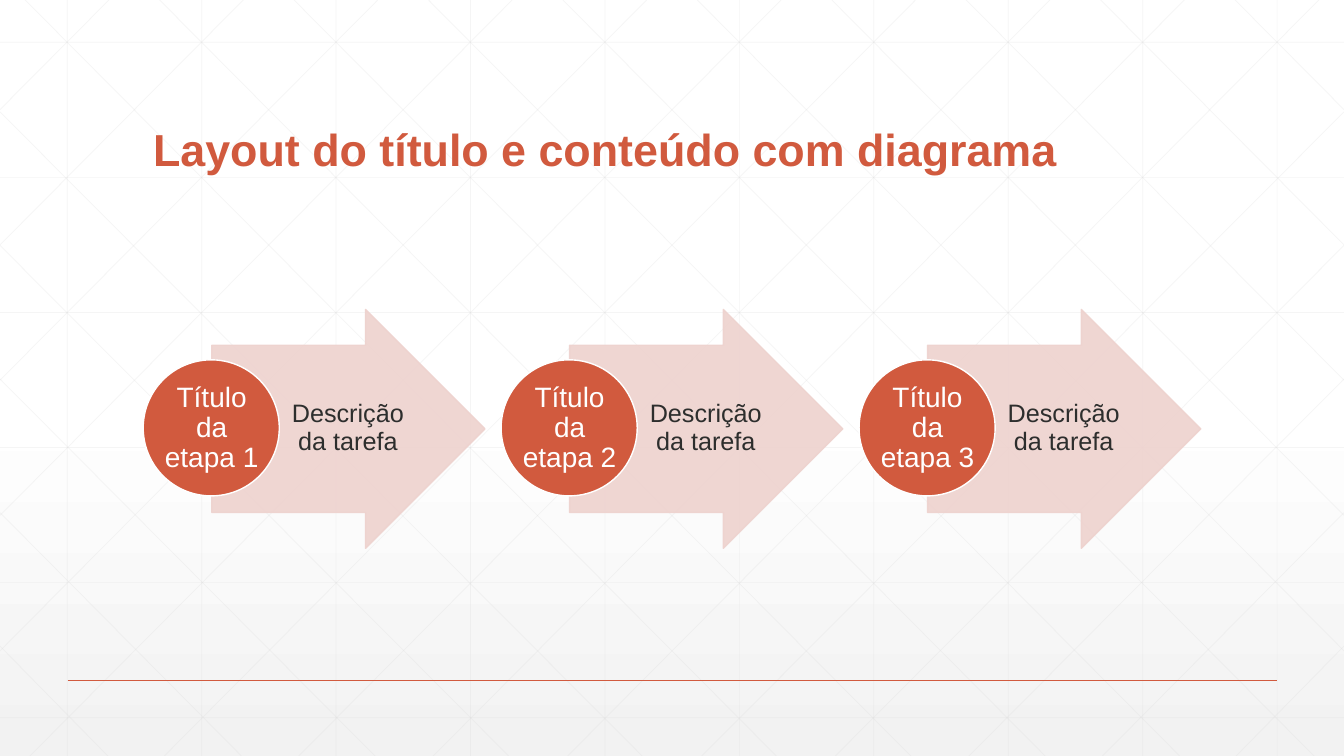
from lxml.etree import SubElement
from pptx import Presentation
from pptx.dml.color import RGBColor
from pptx.enum.shapes import MSO_CONNECTOR as Link, MSO_SHAPE as Form
from pptx.enum.text import MSO_ANCHOR as Anchor, PP_ALIGN as Align
from pptx.oxml.ns import qn
from pptx.util import Inches, Pt

WIDE, HIGH = 13.33, 7.5
RUST = RGBColor(0xD1, 0x5A, 0x3E)
PINK = RGBColor(0xEE, 0xD2, 0xCE)
DARK = RGBColor(0x2D, 0x2E, 0x2D)
WHITE = RGBColor(0xFF, 0xFF, 0xFF)
PALE = RGBColor(0xF2, 0xF2, 0xF2)
GRID = RGBColor(0xD9, 0xD9, 0xD9)


def fade(shape, percent):
    """Make the fill and line colours of a shape partly opaque."""
    for color in shape.element.spPr.iter(qn("a:srgbClr")):
        SubElement(color, qn("a:alpha")).set("val", str(percent * 1000))


def add_line(slide, start, end, color, width):
    """Draw a straight line between two points."""
    ends = [Inches(value) for value in (*start, *end)]
    line = slide.shapes.add_connector(Link.STRAIGHT, *ends)
    line.line.color.rgb = color
    line.line.width = Pt(width)
    SubElement(line.element.spPr, qn("a:effectLst"))
    return line


def add_shape(slide, form, box, fill, edge):
    """Draw a filled preset shape."""
    shape = slide.shapes.add_shape(form, *[Inches(value) for value in box])
    shape.shadow.inherit = False
    shape.fill.solid()
    shape.fill.fore_color.rgb = fill
    shape.line.color.rgb = edge
    shape.line.width = Pt(1)
    return shape


def add_text(slide, text, box, size, color, insets, anchor=Anchor.MIDDLE,
             align=Align.CENTER, bold=False):
    """Place a wrapped text box."""
    frame = slide.shapes.add_textbox(*[Inches(value) for value in box]).text_frame
    frame.word_wrap = True
    frame.vertical_anchor = anchor
    frame.margin_left, frame.margin_top, frame.margin_right, frame.margin_bottom = [
        Inches(value) for value in insets]
    frame.text = text
    para = frame.paragraphs[0]
    para.alignment = align
    para.line_spacing = 0.9
    font = para.runs[0].font
    font.name, font.size, font.bold = "Arial", Pt(size), bold
    font.color.rgb = color


def add_back(slide):
    """Shade the background from white to pale grey."""
    fill = slide.background.fill
    fill.gradient()
    fill.gradient_angle = 270
    for stop, place, color in zip(fill.gradient_stops, (0.53, 1), (WHITE, PALE)):
        stop.position = place
        stop.color.rgb = color


def add_grid(slide):
    """Draw the faint upright, level and slanted grid lines."""
    step, run = 4 / 3, 7.45
    lines = [((x, 0), (x, HIGH)) for x in (2 / 3 + step * i for i in range(10))]
    lines += [((0, y), (WIDE, y)) for y in (0.42 + 1.34 * i for i in range(6))]
    slants = []
    for i in range(10):
        left = 0.25 + step * i
        right = min(left + run, WIDE)
        slants.append(((left, 0), (right, (right - left) * HIGH / run)))
    for i in range(5):
        slants.append(((0, 1.11 + 1.325 * i), (6.37 - 1.325 * i, HIGH)))
    lines += slants
    lines += [((WIDE - a, b), (WIDE - c, d)) for (a, b), (c, d) in slants]
    for start, end in lines:
        fade(add_line(slide, start, end, GRID, 0.5), 25)


def add_step(slide, left, title, task):
    """Draw one step: an arrow with its task and a disc with its title."""
    arrow = add_shape(slide, Form.RIGHT_ARROW, (left + 0.68, 3.07, 2.71, 2.37), PINK, PINK)
    arrow.adjustments[0], arrow.adjustments[1] = 0.7, 0.5
    fade(arrow, 90)
    add_text(slide, task, (left + 1.36, 3.42, 1.32, 1.66), 18, DARK,
             (0.05, 0.01, 0.03, 0.01))
    add_shape(slide, Form.OVAL, (left, 3.57, 1.35, 1.35), RUST, WHITE)
    add_text(slide, title, (left + 0.2, 3.77, 0.96, 0.96), 20, WHITE, [0.01] * 4)


def main():
    """Build the slide and save it."""
    deck = Presentation()
    deck.slide_width, deck.slide_height = Inches(WIDE), Inches(HIGH)
    slide = deck.slides.add_slide(deck.slide_layouts[6])
    add_back(slide)
    add_grid(slide)
    add_line(slide, (0.67, 6.75), (12.67, 6.75), RUST, 1)
    add_text(slide, "Layout do título e conteúdo com diagrama", (1.42, 0.55, 10.5, 1.25),
             32, RUST, (0.1, 0.05, 0.1, 0.05), Anchor.BOTTOM, Align.LEFT, True)
    for i in range(3):
        add_step(slide, 1.42 + 3.55 * i, f"Título da etapa {i + 1}", "Descrição da tarefa")
    deck.save("out.pptx")


if __name__ == "__main__":
    main()
